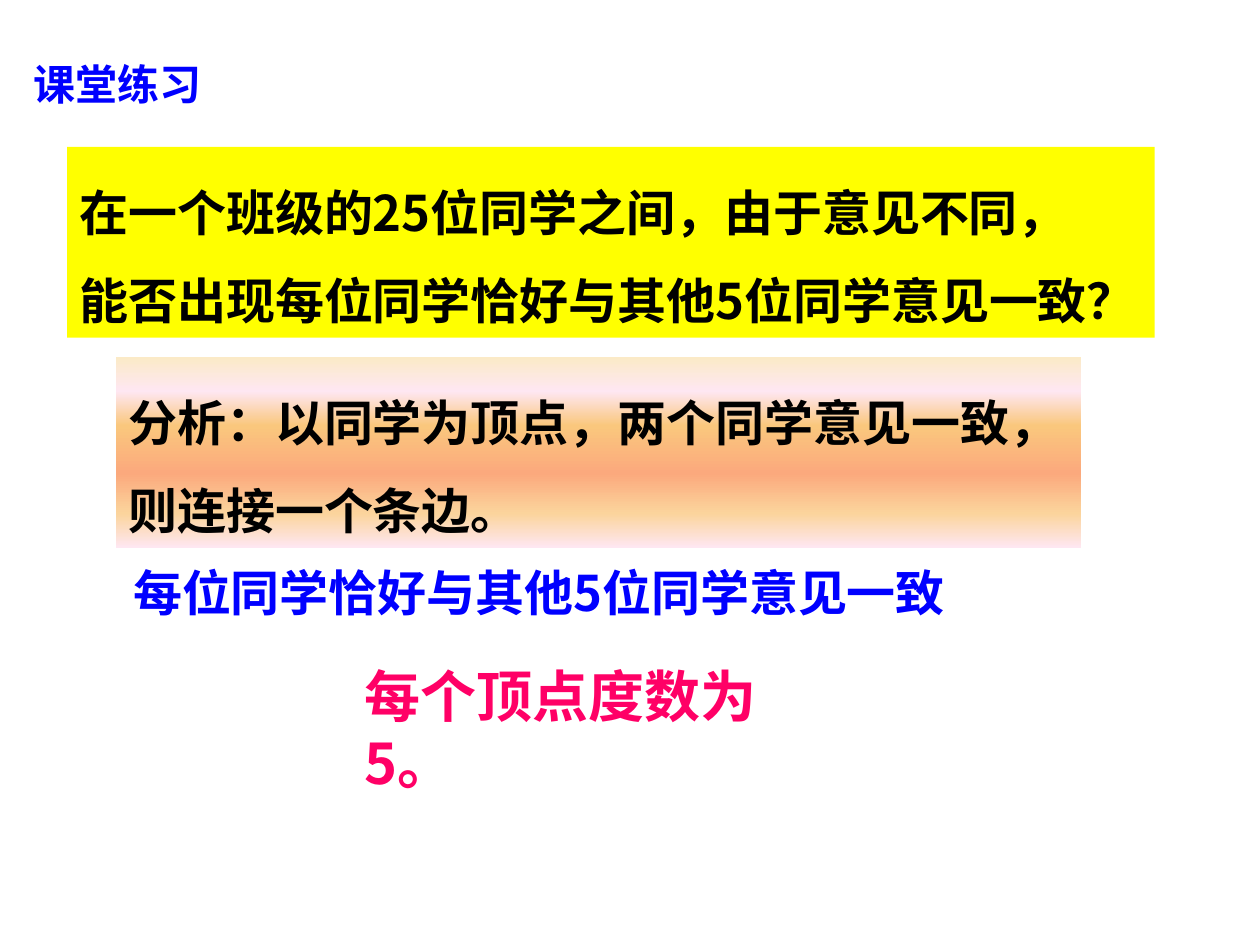
from lxml import etree
from pptx import Presentation
from pptx.dml.color import RGBColor
from pptx.enum.shapes import MSO_SHAPE
from pptx.enum.text import MSO_ANCHOR, MSO_AUTO_SIZE, PP_ALIGN
from pptx.oxml.ns import qn
from pptx.util import Pt

RECT = MSO_SHAPE.RECTANGLE
TOP = MSO_ANCHOR.TOP
NO_FIT = MSO_AUTO_SIZE.NONE
LEFT = PP_ALIGN.LEFT

FONT = "Noto Sans CJK SC"
BLACK = RGBColor(0x00, 0x00, 0x00)
BLUE = RGBColor(0x00, 0x00, 0xFF)
PINK = RGBColor(0xFF, 0x00, 0x66)
YELLOW = RGBColor(0xFF, 0xFF, 0x00)
DAWN = [
    (0, RGBColor(0xFB, 0xEA, 0xC7)),
    (18, RGBColor(0xFE, 0xE7, 0xF2)),
    (36, RGBColor(0xFA, 0xC7, 0x7D)),
    (61, RGBColor(0xFB, 0xA9, 0x7D)),
    (82, RGBColor(0xFB, 0xD4, 0x9C)),
    (100, RGBColor(0xFE, 0xE7, 0xF2)),
]


def write(sp, lines, size, color, spacing=None):
    tf = sp.text_frame
    for name, value in {"word_wrap": True, "auto_size": NO_FIT,
                        "vertical_anchor": TOP}.items():
        setattr(tf, name, value)
    for i, line in enumerate(lines):
        p = tf.paragraphs[0] if i == 0 else tf.add_paragraph()
        p.alignment = LEFT
        p.line_spacing = spacing
        r = p.add_run()
        r.text = line
        for name, value in {"name": FONT, "size": Pt(size), "bold": True}.items():
            setattr(r.font, name, value)
        r.font.color.rgb = color
        ea = etree.SubElement(r.font._element, qn("a:ea"))
        ea.set("typeface", FONT)


def fill_down(sp, stops):
    """Fill a shape with a gradient that runs from top to bottom."""
    sp.fill.gradient()
    grad = sp._element.spPr.find(qn("a:gradFill"))
    for child in list(grad):
        grad.remove(child)
    gs_list = etree.SubElement(grad, qn("a:gsLst"))
    for percent, color in stops:
        gs = etree.SubElement(gs_list, qn("a:gs"), pos=str(percent * 1000))
        etree.SubElement(gs, qn("a:srgbClr"), val=str(color))
    etree.SubElement(grad, qn("a:lin"), ang="5400000", scaled="0")


prs = Presentation()
prs.slide_width, prs.slide_height = Pt(720), Pt(540)
s = prs.slides.add_slide(prs.slide_layouts[5])

# Title
title = s.shapes.title
for name, value in {"left": 12, "top": 30, "width": 168, "height": 36}.items():
    setattr(title, name, Pt(value))
write(title, ["课堂练习"], 24, BLUE)

# Question and analysis panels
question = s.shapes.add_shape(RECT, Pt(38.3), Pt(84), Pt(621.5), Pt(109))
question.fill.solid()
question.fill.fore_color.rgb = YELLOW
analysis = s.shapes.add_shape(RECT, Pt(66.3), Pt(204), Pt(551.5), Pt(109))
fill_down(analysis, DAWN)
panels = [
    (question, ["在一个班级的25位同学之间，由于意见不同，",
                "能否出现每位同学恰好与其他5位同学意见一致？"]),
    (analysis, ["分析：以同学为顶点，两个同学意见一致，",
                "则连接一个条边。"]),
]
for sp, lines in panels:
    sp.shadow.inherit = False
    sp.line.fill.background()
    write(sp, lines, 28, BLACK, spacing=1.5)

# Reasoning steps
steps = [
    ("每位同学恰好与其他5位同学意见一致", (69, 318, 483, 41), 28, BLUE),
    ("每个顶点度数为5。", (201, 374.5, 288, 46), 32, PINK),
]
for text, box, size, color in steps:
    sp = s.shapes.add_textbox(*map(Pt, box))
    write(sp, [text], size, color)

prs.save("out.pptx")
